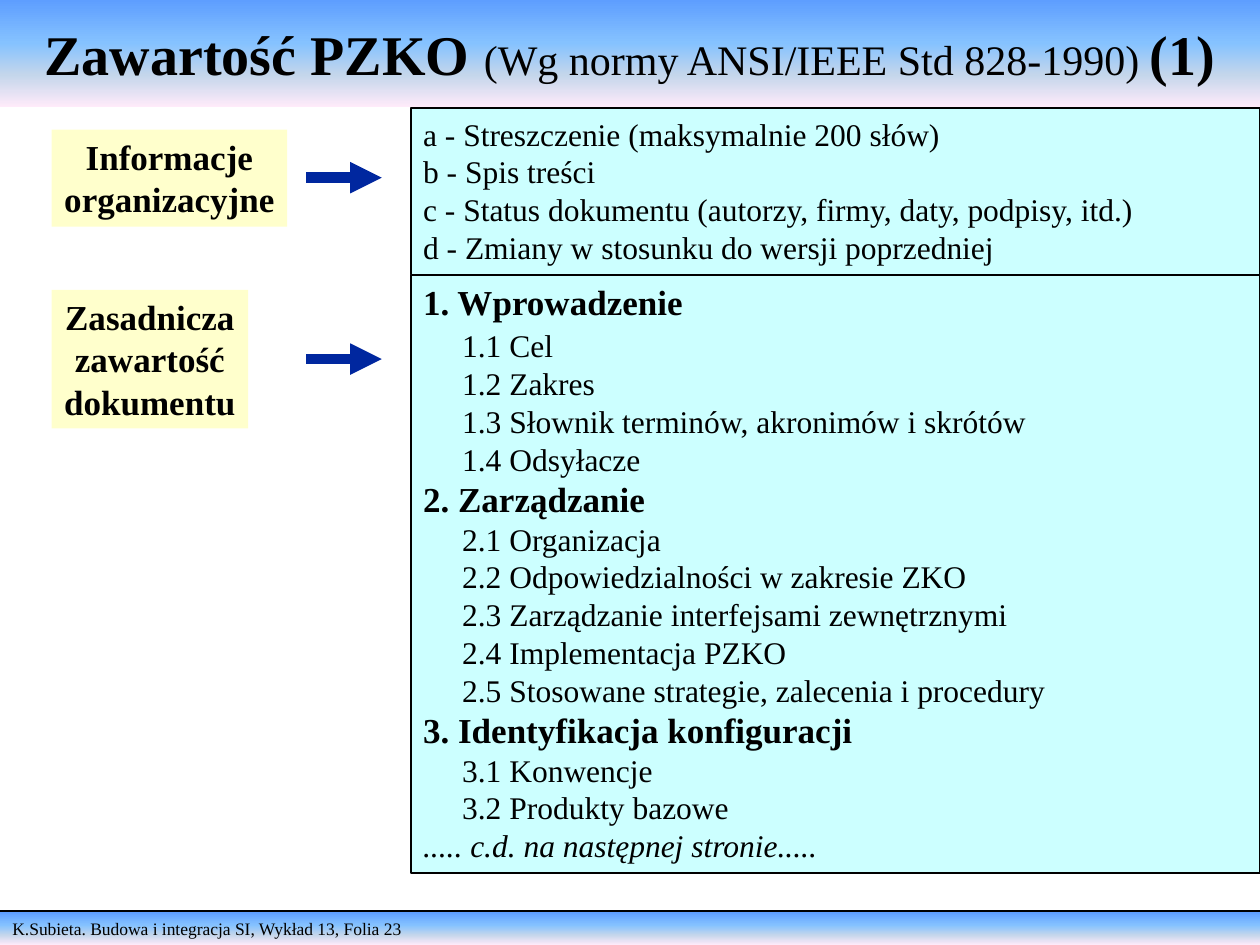
import copy

import pptx
import pptx.dml.color
import pptx.enum.dml
import pptx.enum.shapes
import pptx.enum.text
import pptx.oxml
import pptx.oxml.ns
import pptx.util

Inches = pptx.util.Inches
Pt = pptx.util.Pt
ALIGN = pptx.enum.text.PP_ALIGN
ANCHOR = pptx.enum.text.MSO_ANCHOR
AUTO_SIZE = pptx.enum.text.MSO_AUTO_SIZE

BANNER_STOPS = [(0, "5E9EFF"), (40, "85C2FF"), (70, "C4D6EB"), (100, "FFEBFA")]
PANEL, LABEL, INK, ARROW = "CCFFFF", "FFFFCC", "000000", "00279F"
SUBITEM_INDENT = 0.31

HEADING = {"size": Pt(20), "bold": True}
ITEM = {"size": Pt(18), "bold": False}
CONTINUED = {"size": Pt(18), "italic": True}
FOOTER = {"size": Pt(10)}
TITLE = {"size": Pt(32), "bold": True}
TITLE_NOTE = {"size": Pt(24), "bold": False}

ORGANIZATIONAL = [
    "a - Streszczenie (maksymalnie 200 słów)",
    "b - Spis treści",
    "c - Status dokumentu (autorzy, firmy, daty, podpisy, itd.)",
    "d - Zmiany w stosunku do wersji poprzedniej",
]
SECTIONS = {
    "1. Wprowadzenie": [
        "1.1 Cel",
        "1.2 Zakres",
        "1.3 Słownik terminów, akronimów i skrótów",
        "1.4 Odsyłacze",
    ],
    "2. Zarządzanie": [
        "2.1 Organizacja",
        "2.2 Odpowiedzialności w zakresie ZKO",
        "2.3 Zarządzanie interfejsami zewnętrznymi",
        "2.4 Implementacja PZKO",
        "2.5 Stosowane strategie, zalecenia i procedury",
    ],
    "3. Identyfikacja konfiguracji": ["3.1 Konwencje", "3.2 Produkty bazowe"],
}


def color(hex_value):
    """Return the colour for a hex string."""
    return pptx.dml.color.RGBColor.from_string(hex_value)


def apply_format(target, values):
    """Set each named attribute of the target."""
    for name, value in values.items():
        setattr(target, name, value)


def fill_banner(fill):
    """Fill with the vertical gradient of the title and footer bands."""
    fill.gradient()
    fill.gradient_angle = 270
    first_stop = fill.gradient_stops[0]
    stop_list = fill._fill._gradFill.gsLst
    template = copy.deepcopy(stop_list[0])
    for stop in list(stop_list):
        stop_list.remove(stop)
    for _ in BANNER_STOPS:
        stop_list.append(copy.deepcopy(template))
    for stop, (percent, hex_value) in zip(fill.gradient_stops, BANNER_STOPS):
        stop.position = percent / 100
        stop.color.rgb = color(hex_value)


def add_box(slide, place, rows, fill=None, outline=False, align=ALIGN.LEFT, **frame_format):
    """Add a rectangle with rows of (runs, indent), each run being (text, format)."""
    box = slide.shapes.add_shape(
        pptx.enum.shapes.MSO_SHAPE.RECTANGLE, *map(Inches, place))
    box.shadow.inherit = False
    if fill:
        box.fill.solid()
        box.fill.fore_color.rgb = color(fill)
    else:
        fill_banner(box.fill)
    if outline:
        box.line.color.rgb = color(INK)
        box.line.width = Pt(1)
    else:
        box.line.fill.background()
    frame = box.text_frame
    apply_format(frame, {
        "word_wrap": True,
        "auto_size": AUTO_SIZE.SHAPE_TO_FIT_TEXT,
        "vertical_anchor": ANCHOR.TOP,
        **frame_format,
    })
    for number, (runs, indent) in enumerate(rows):
        paragraph = frame.add_paragraph() if number else frame.paragraphs[0]
        paragraph.alignment = align
        if indent:
            paragraph._p.get_or_add_pPr().set("marL", str(Inches(indent)))
        for text, font_format in runs:
            run = paragraph.add_run()
            run.text = text
            apply_format(run.font, {"name": "Times New Roman", **font_format})
            run.font.color.rgb = color(INK)
    return box


def plain_rows(texts, font_format, indent=0):
    """Return one single-run row for each text."""
    return [([(text, font_format)], indent) for text in texts]


def add_line(slide, start, end, hex_value, width, arrow=False):
    """Add a straight line, with an arrowhead at its end if asked."""
    line = slide.shapes.add_connector(
        pptx.enum.shapes.MSO_CONNECTOR.STRAIGHT, *map(Inches, start + end))
    line.line.color.rgb = color(hex_value)
    line.line.width = Pt(width)
    if arrow:
        head = pptx.oxml.parse_xml(
            f'<a:tailEnd {pptx.oxml.ns.nsdecls("a")} type="triangle"/>')
        line.line._get_or_add_ln().append(head)
    line._element.spPr.append(
        pptx.oxml.parse_xml(f'<a:effectLst {pptx.oxml.ns.nsdecls("a")}/>'))


def add_label(slide, place, words, arrow_y):
    """Add a yellow label and the arrow that leads to its panel."""
    add_box(slide, place, plain_rows(words, HEADING), LABEL,
            align=ALIGN.CENTER, word_wrap=False)
    add_line(slide, (2.43, arrow_y), (3.03, arrow_y), ARROW, 6, arrow=True)


def add_contents(slide):
    """Add the panel that lists the sections of the document."""
    rows = []
    for heading, items in SECTIONS.items():
        rows += plain_rows([heading], HEADING)
        rows += plain_rows(items, ITEM, SUBITEM_INDENT)
    rows += plain_rows(["..... c.d. na następnej stronie....."], CONTINUED)
    panel = add_box(slide, (3.26, 2.18, 6.74, 4.75), rows, PANEL, outline=True)
    panel.text_frame.paragraphs[0].space_after = Pt(2)


def main():
    """Build and save the slide."""
    deck = pptx.Presentation()
    apply_format(deck, {"slide_width": Inches(10), "slide_height": Inches(7.5)})
    slide = deck.slides.add_slide(deck.slide_layouts[6])
    add_box(slide, (0, 7.24, 10, 0.26),
            plain_rows(["K.Subieta. Budowa i integracja SI, Wykład 13, Folia 23"], FOOTER))
    add_line(slide, (0, 7.23), (10, 7.23), INK, 1)
    title = [("Zawartość PZKO ", TITLE),
             ("(Wg normy ANSI/IEEE Std 828-1990) ", TITLE_NOTE),
             ("(1)", TITLE)]
    add_box(slide, (0, 0, 10, 0.85), [(title, 0)], align=ALIGN.CENTER,
            auto_size=AUTO_SIZE.NONE, vertical_anchor=ANCHOR.MIDDLE)
    add_box(slide, (3.26, 0.86, 6.74, 1.32), plain_rows(ORGANIZATIONAL, ITEM),
            PANEL, outline=True)
    add_contents(slide)
    add_label(slide, (0.41, 1.03, 1.87, 0.77), ["Informacje", "organizacyjne"], 1.41)
    add_label(slide, (0.41, 2.3, 1.56, 1.1), ["Zasadnicza", "zawartość", "dokumentu"], 2.85)
    deck.save("out.pptx")


if __name__ == "__main__":
    main()
